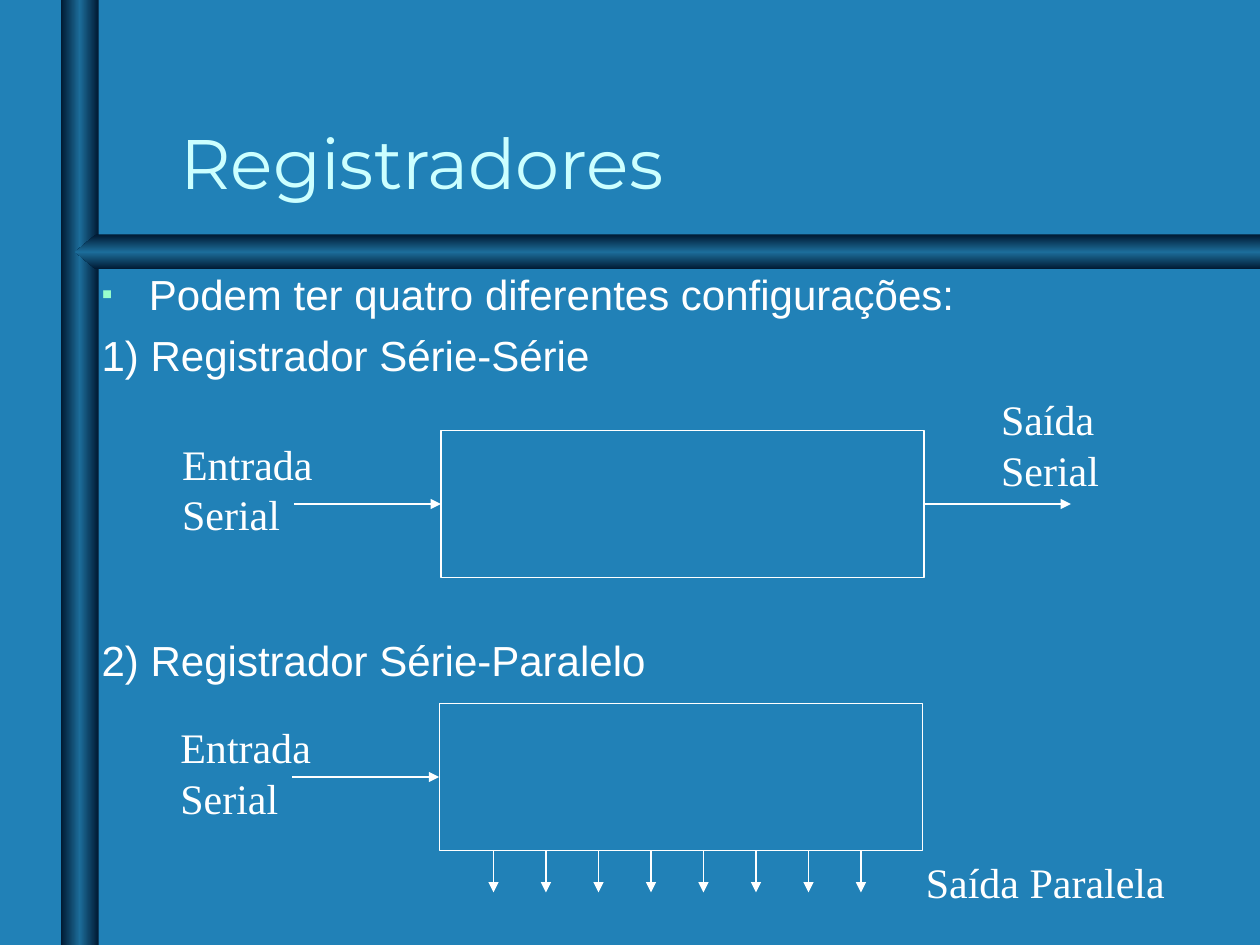
from copy import deepcopy

from lxml.etree import SubElement
from pptx import Presentation
from pptx.dml.color import RGBColor
from pptx.enum.shapes import MSO_CONNECTOR, MSO_SHAPE
from pptx.enum.text import MSO_ANCHOR, MSO_AUTO_SIZE
from pptx.oxml.ns import qn
from pptx.util import Pt

BLUE = RGBColor(0x21, 0x81, 0xB7)
NAVY = RGBColor(0x00, 0x19, 0x32)
STEEL = RGBColor(0x1C, 0x6D, 0x9A)
ICE = RGBColor(0xCC, 0xFF, 0xFF)
WHITE = RGBColor(0xFF, 0xFF, 0xFF)
MINT = RGBColor(0x99, 0xFF, 0xCC)
SERIF = "Times New Roman"
LINE = 28.8  # line pitch of 24 pt text
GAP = 6      # space before each body paragraph


class Board:
    """Holds the slide and the style of its elements."""

    def __init__(self, slide):
        self.slide = slide
        self.shapes = slide.shapes

    def shade(self, shape, angle):
        """Dark edges with a lighter middle, no outline."""
        shape.shadow.inherit = False
        shape.line.fill.background()
        fill = shape.fill
        fill.gradient()
        fill.gradient_angle = angle
        first = shape._element.spPr.find(".//" + qn("a:gs"))
        first.addnext(deepcopy(first))
        for stop, place, color in zip(fill.gradient_stops, (0, 0.5, 1),
                                      (NAVY, STEEL, NAVY)):
            stop.position = place
            stop.color.rgb = color

    def bar(self, x, y, w, h):
        bar = self.shapes.add_shape(MSO_SHAPE.RECTANGLE,
                                    Pt(x), Pt(y), Pt(w), Pt(h))
        self.shade(bar, 0)

    def spike(self, points):
        pen = self.shapes.build_freeform(*map(Pt, points[0]), scale=1.0)
        pen.add_line_segments([(Pt(x), Pt(y)) for x, y in points[1:]])
        self.shade(pen.convert_to_shape(), 90)

    def box(self, x, y, w, h):
        box = self.shapes.add_shape(MSO_SHAPE.RECTANGLE,
                                    Pt(x), Pt(y), Pt(w), Pt(h))
        box.shadow.inherit = False
        box.fill.background()
        box.line.color.rgb = WHITE
        box.line.width = Pt(0.75)

    def arrow(self, x1, y1, x2, y2):
        arrow = self.shapes.add_connector(MSO_CONNECTOR.STRAIGHT,
                                          Pt(x1), Pt(y1), Pt(x2), Pt(y2))
        arrow.line.color.rgb = WHITE
        arrow.line.width = Pt(0.75)
        SubElement(arrow.line._get_or_add_ln(), qn("a:tailEnd"),
                   type="triangle")
        SubElement(arrow._element.spPr, qn("a:effectLst"))

    def text(self, x, y, w, h, words, font=SERIF, size=24, color=WHITE,
             pitch=LINE):
        frame = self.shapes.add_textbox(Pt(x), Pt(y), Pt(w), Pt(h)).text_frame
        frame.word_wrap = True
        frame.text = words
        for para in frame.paragraphs:
            if pitch:
                para.line_spacing = Pt(pitch)
            for run in para.runs:
                run.font.name = font
                run.font.size = Pt(size)
                run.font.color.rgb = color
        return frame

    def label(self, x, y, w, words):
        """Two lines that never wrap, in a box that fits them."""
        frame = self.text(x, y, w, 64.8, words)
        frame.word_wrap = False
        frame.auto_size = MSO_AUTO_SIZE.SHAPE_TO_FIT_TEXT

    def bullet(self, para):
        props = para._p.get_or_add_pPr()
        color = SubElement(props, qn("a:buClr"))
        SubElement(color, qn("a:srgbClr"), val=str(MINT))
        SubElement(props, qn("a:buSzPct"), val="75000")
        SubElement(props, qn("a:buFont"), typeface="Arial")
        SubElement(props, qn("a:buChar"), char="▪")

    def block(self, x, y):
        """A register with its serial input."""
        self.box(x, y, 276, 84)
        self.arrow(x - 84, y + 42, x, y + 42)


def main():
    deck = Presentation()
    deck.slide_width, deck.slide_height = Pt(720), Pt(540)
    slide = deck.slides.add_slide(deck.slide_layouts[6])
    slide.background.fill.solid()
    slide.background.fill.fore_color.rgb = BLUE
    board = Board(slide)

    # Frame bars
    board.bar(34.8, 0, 21.6, 540)
    board.spike([(720, 134), (54.8, 134), (43, 144), (54.8, 154), (720, 154)])

    # Title
    title = board.text(96, 30, 612, 90, "Registradores", "Montserrat", 40,
                       ICE, pitch=None)
    title.vertical_anchor = MSO_ANCHOR.BOTTOM

    # Body, with room for the first diagram before the last item
    body = board.text(51, 150, 669, 324,
                      "Podem ter quatro diferentes configurações:\n"
                      "1) Registrador Série-Série\n"
                      "2) Registrador Série-Paralelo", "Arial")
    room = 4 * (LINE + GAP)
    for para, space in zip(body.paragraphs, (0, GAP, room + GAP)):
        para.space_before = Pt(space)
        props = para._p.get_or_add_pPr()
        props.set("marL", str(Pt(27)))
        props.set("indent", str(Pt(-27)))
    board.bullet(body.paragraphs[0])

    # Serial in, serial out
    board.block(252, 246)
    board.arrow(528, 288, 612, 288)
    board.label(97, 247, 89, "Entrada\nSerial")
    board.label(565, 221.5, 70.5, "Saída\nSerial")

    # Serial in, parallel out
    board.block(251, 402)
    board.label(96, 409, 89, "Entrada\nSerial")
    board.text(522, 486, 162, 36, "Saída Paralela")
    for i in range(8):
        x = 282 + 30 * i
        board.arrow(x, 486, x, 510)

    deck.save("out.pptx")


if __name__ == "__main__":
    main()
